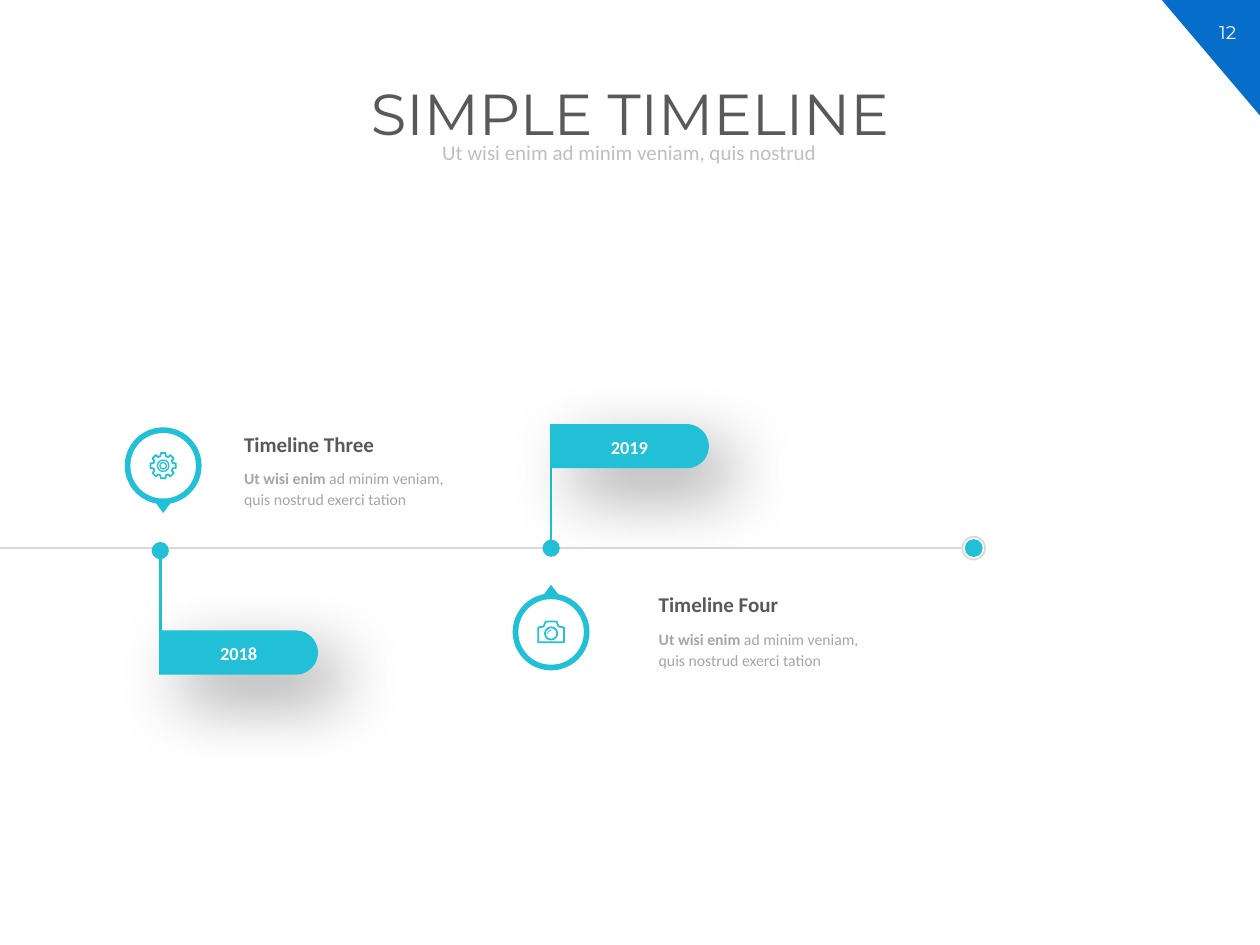
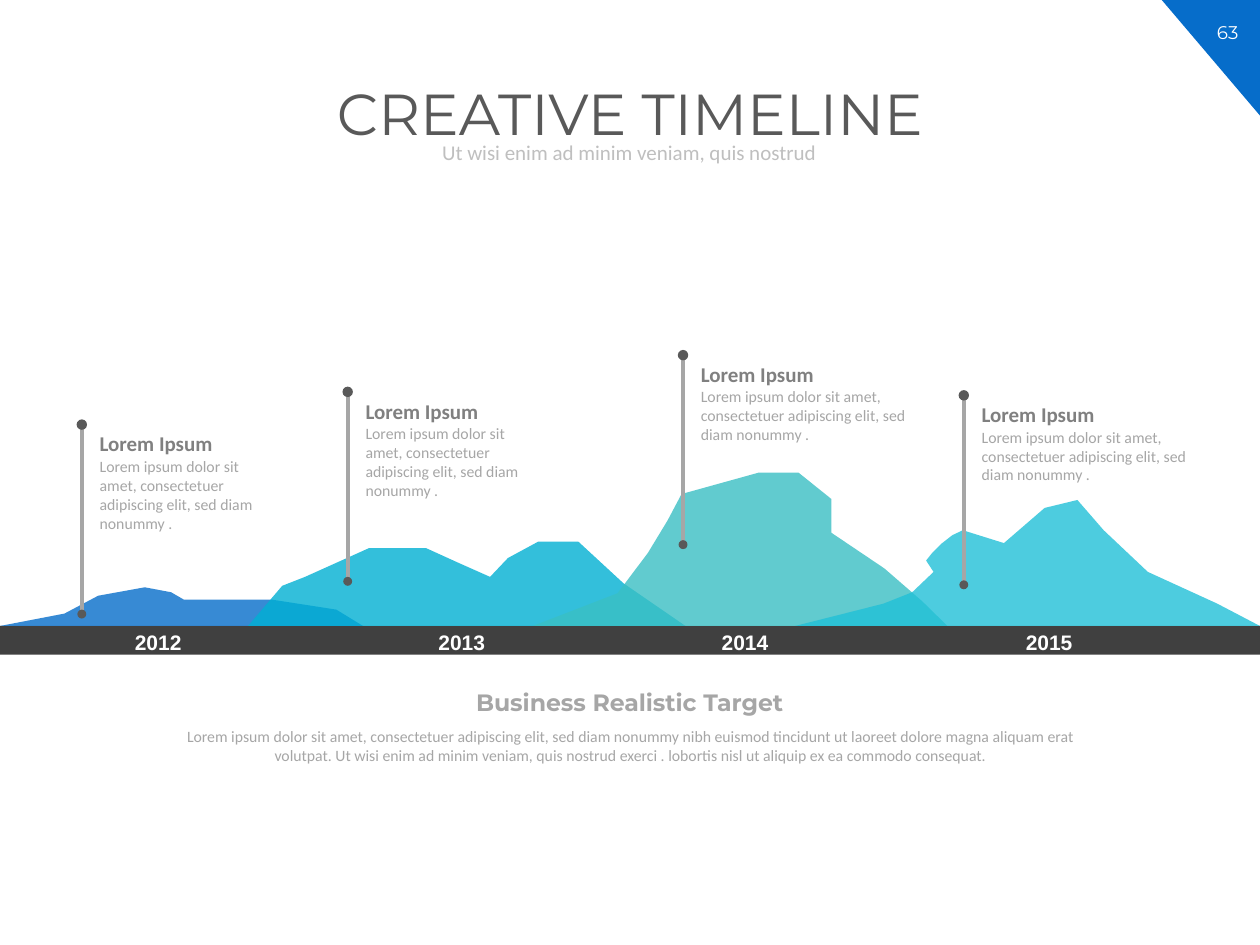
import dataclasses
import math
import typing

import lxml.etree
import pptx
import pptx.dml.color
import pptx.enum.shapes
import pptx.enum.text
import pptx.oxml.ns
import pptx.util

Cm = pptx.util.Cm
Pt = pptx.util.Pt
qn = pptx.oxml.ns.qn
SHAPE = pptx.enum.shapes.MSO_SHAPE
CENTER = pptx.enum.text.PP_ALIGN.CENTER
LEFT = pptx.enum.text.PP_ALIGN.LEFT
ANCHOR = pptx.enum.text.MSO_ANCHOR
Point = tuple[float, float]

# Shared look; every plain number for a place or size is in centimetres
COLORS = {
    "blue": "066DCA", "cyan": "00B0D3", "green": "3ABFC4", "teal": "21C0D7",
    "white": "FFFFFF", "band": "404040", "dark": "595959", "mid": "808080",
    "gray": "A6A6A6", "pale": "BFBFBF", "rule": "D9D9D9",
}
SLIDE_WIDTH, SLIDE_HEIGHT = 25.4, 19.05
SUBTITLE = "Ut wisi enim ad minim veniam, quis nostrud"
LOREM = "Lorem ipsum dolor sit amet, consectetuer adipiscing elit, sed diam nonummy"


@dataclasses.dataclass(frozen=True)
class TextStyle:
    name: str
    size: float
    color: str
    bold: bool = False
    alignment: typing.Any = LEFT
    line_spacing: float = 1.0


STYLES = {
    "title": TextStyle("Montserrat", 33, "dark", False, CENTER, 0.9),
    "subtitle": TextStyle("Calibri", 12, "pale", False, CENTER, 0.9),
    "number": TextStyle("Montserrat", 10.5, "white", False, CENTER),
    "flag": TextStyle("Calibri", 10.5, "white", True, CENTER),
    "event": TextStyle("Calibri", 12, "dark", True),
    "event detail": TextStyle("Calibri", 9, "gray", False, LEFT, 1.14),
    "year": TextStyle("Arial", 12, "white", True, CENTER),
    "milestone": TextStyle("Calibri", 12, "mid", True),
    "detail": TextStyle("Calibri", 9, "gray"),
    "target": TextStyle("Montserrat", 13.5, "gray", True, CENTER),
    "target detail": TextStyle("Calibri", 9, "gray", False, CENTER),
}


class Box(typing.NamedTuple):
    left: float
    top: float
    width: float
    height: float


class Flag(typing.NamedTuple):
    year: str
    left: float
    top: float
    pole_start: float
    pole_end: float


class Event(typing.NamedTuple):
    heading: str
    left: float
    top: float
    pin_x: float
    pin_y: float
    points_down: bool
    draw_icon: typing.Callable


class Mountain(typing.NamedTuple):
    color: str
    start: float
    end: float
    ridge: list[Point]


class Milestone(typing.NamedTuple):
    x: float
    top: float
    text_width: float
    text_height: float


# Helpers
def rgb(color: str) -> pptx.dml.color.RGBColor:
    return pptx.dml.color.RGBColor.from_string(COLORS[color])


def centered(x: float, y: float, width: float, height: float) -> Box:
    return Box(x - width / 2, y - height / 2, width, height)


def paint(shape, fill: str | None, line: str | None = None, weight: float = 1) -> None:
    if fill:
        shape.fill.solid()
        shape.fill.fore_color.rgb = rgb(fill)
    else:
        shape.fill.background()
    if line:
        shape.line.color.rgb = rgb(line)
        shape.line.width = Pt(weight)
    else:
        shape.line.fill.background()
    shape.shadow.inherit = False


def add_shape(slide, kind, box: Box, fill: str | None, line: str | None = None,
              weight: float = 1, rotation: float = 0):
    shape = slide.shapes.add_shape(kind, *map(Cm, box))
    shape.rotation = rotation
    paint(shape, fill, line, weight)
    return shape


def add_outline(slide, points: list[Point], fill: str | None, line: str | None = None,
                weight: float = 1):
    corners = [(Cm(x), Cm(y)) for x, y in points]
    builder = slide.shapes.build_freeform(*corners[0], scale=1.0)
    builder.add_line_segments(corners[1:], close=True)
    shape = builder.convert_to_shape()
    paint(shape, fill, line, weight)
    return shape


def add_line(slide, start: Point, end: Point, color: str, weight: float,
             dot: bool = False) -> None:
    line = slide.shapes.add_connector(pptx.enum.shapes.MSO_CONNECTOR.STRAIGHT,
                                      *map(Cm, (*start, *end)))
    line.line.color.rgb = rgb(color)
    line.line.width = Pt(weight)
    properties = line.element.spPr
    if dot:
        lxml.etree.SubElement(properties.find(qn("a:ln")), qn("a:tailEnd"),
                              type="oval", w="lg", len="lg")
    lxml.etree.SubElement(properties, qn("a:effectLst"))


def write(shape, style_name: str, text: str, bold_lead: str = "",
          anchor=ANCHOR.TOP, wrap: bool = True) -> None:
    style = STYLES[style_name]
    frame = shape.text_frame
    frame_format = {"word_wrap": wrap, "vertical_anchor": anchor,
                    "auto_size": pptx.enum.text.MSO_AUTO_SIZE.NONE}
    for key, value in frame_format.items():
        setattr(frame, key, value)
    paragraph = frame.paragraphs[0]
    paragraph_format = {"alignment": style.alignment, "space_before": Pt(0),
                        "line_spacing": style.line_spacing}
    for key, value in paragraph_format.items():
        setattr(paragraph, key, value)
    parts = [(bold_lead, True), (text, style.bold)]
    for content, bold in parts:
        if not content:
            continue
        run = paragraph.add_run()
        run.text = content
        for key, value in {"name": style.name, "size": Pt(style.size), "bold": bold}.items():
            setattr(run.font, key, value)
        run.font.color.rgb = rgb(style.color)


def add_text(slide, box: Box, style_name: str, text: str, bold_lead: str = "",
             wrap: bool = True) -> None:
    shape = slide.shapes.add_textbox(*map(Cm, box))
    write(shape, style_name, text, bold_lead, wrap=wrap)


def place(shape, box: Box) -> None:
    for key, value in box._asdict().items():
        setattr(shape, key, Cm(value))


def add_base_slide(presentation, title: str, number: str):
    """Add a slide with its title, subtitle and numbered corner."""
    slide = presentation.slides.add_slide(presentation.slide_layouts[2])
    place(slide.shapes.title, Box(1.45, 1.6, 22.5, 1.85))
    write(slide.shapes.title, "title", title)
    place(slide.placeholders[1], Box(3.53, 2.77, 18.31, 0.66))
    write(slide.placeholders[1], "subtitle", SUBTITLE, anchor=ANCHOR.MIDDLE)
    add_shape(slide, SHAPE.RIGHT_TRIANGLE, Box(23.42, 0, 1.98, 2.33), "blue", rotation=180)
    add_text(slide, Box(24.1, 0.3, 1.3, 0.71), "number", number)
    return slide


# Simple timeline
def draw_gear(slide, x: float, y: float) -> None:
    points = []
    for tooth in range(8):
        for degrees, radius in ((-15, 0.2), (-11, 0.26), (11, 0.26), (15, 0.2)):
            angle = math.radians(tooth * 45 + degrees)
            points.append((x + radius * math.cos(angle), y + radius * math.sin(angle)))
    add_outline(slide, points, None, "teal")
    for diameter in (0.23, 0.13):
        add_shape(slide, SHAPE.OVAL, centered(x, y, diameter, diameter), None, "teal", 0.75)


def draw_camera(slide, x: float, y: float) -> None:
    right_half = [(0.11, -0.21), (0.15, -0.11), (0.26, -0.09), (0.26, 0.21)]
    left_half = [(-dx, dy) for dx, dy in reversed(right_half)]
    add_outline(slide, [(x + dx, y + dy) for dx, dy in right_half + left_half], None, "teal")
    add_shape(slide, SHAPE.OVAL, centered(x, y + 0.03, 0.25, 0.25), None, "teal")
    add_shape(slide, SHAPE.ARC, centered(x, y + 0.03, 0.14, 0.14), None, "teal", 0.5, 270)


FLAGS = [Flag("2019", 11.09, 8.55, 8.56, 11.05), Flag("2018", 3.21, 12.71, 13.59, 11.1)]
EVENTS = [
    Event("Timeline Four", 13.03, 11.81, 11.11, 12.74, False, draw_camera),
    Event("Timeline Three", 4.67, 8.57, 3.29, 9.39, True, draw_gear),
]


def add_flag(slide, flag: Flag) -> None:
    length, height = 3.2, 0.89
    pole_x = flag.left + 0.02
    add_line(slide, (pole_x, flag.pole_start), (pole_x, flag.pole_end), "teal", 1.5, dot=True)
    box = centered(flag.left + length / 2, flag.top + height / 2, height, length)
    shape = add_shape(slide, SHAPE.ROUND_2_SAME_RECTANGLE, box, "teal", rotation=90)
    shape.adjustments[0], shape.adjustments[1] = 0.5, 0
    # Soft shadow to the lower right
    effects = shape.element.spPr.find(qn("a:effectLst"))
    shadow = lxml.etree.SubElement(
        effects, qn("a:outerShdw"), blurRad=str(Pt(40)), dist=str(Pt(20)),
        dir=str(45 * 60000), algn="ctr", rotWithShape="0")
    color = lxml.etree.SubElement(shadow, qn("a:srgbClr"), val="000000")
    lxml.etree.SubElement(color, qn("a:alpha"), val="40000")
    add_text(slide, Box(flag.left + 0.43, flag.top + 0.11, 2.34, 0.71), "flag", flag.year)


def add_event(slide, event: Event) -> None:
    add_text(slide, Box(event.left, event.top, 3.1, 0.76), "event", event.heading, wrap=False)
    add_text(slide, Box(event.left, event.top + 0.7, 5.05, 1.19), "event detail",
             "ad minim veniam, quis nostrud exerci tation", "Ut wisi enim ")
    x, y = event.pin_x, event.pin_y
    add_shape(slide, SHAPE.OVAL, centered(x, y, 1.55, 1.55), "teal")
    pointer_y = y + (0.85 if event.points_down else -0.85)
    add_shape(slide, SHAPE.ISOSCELES_TRIANGLE, centered(x, pointer_y, 0.3, 0.2), "teal",
              rotation=180 if event.points_down else 0)
    add_shape(slide, SHAPE.OVAL, centered(x, y, 1.32, 1.32), "white")
    event.draw_icon(slide, x, y)


def build_simple_timeline(presentation) -> None:
    slide = add_base_slide(presentation, "SIMPLE TIMELINE", "12")
    axis_y, end_x = 11.05, 19.63
    add_line(slide, (19.41, axis_y), (0, axis_y), "rule", 1)
    for flag in FLAGS:
        add_flag(slide, flag)
    for event in EVENTS:
        add_event(slide, event)
    add_shape(slide, SHAPE.OVAL, centered(end_x, axis_y, 0.36, 0.36), "teal")
    add_shape(slide, SHAPE.OVAL, centered(end_x, axis_y, 0.46, 0.46), None, "rule")


# Creative timeline
GROUND = 12.62
MOUNTAINS = [
    Mountain("blue", 0, 7.32, [
        (1.3, 12.37), (1.98, 12.01), (2.92, 11.84), (3.45, 11.94), (3.71, 12.09),
        (5.49, 12.09), (6.78, 12.29)]),
    Mountain("cyan", 5, 13.82, [
        (5.69, 11.81), (6.15, 11.63), (7.44, 11.05), (8.59, 11.05), (9.25, 11.35),
        (9.88, 11.63), (10.24, 11.25), (10.85, 10.92), (11.66, 10.92), (12.57, 11.76)]),
    Mountain("green", 10.74, 19.1, [
        (12.45, 11.96), (13.06, 11.15), (13.46, 10.49), (13.74, 9.96), (15.29, 9.53),
        (16.1, 9.53), (16.76, 10.06), (16.76, 10.74), (17.83, 11.46), (18.59, 12.12)]),
    Mountain("teal", 16.03, 25.4, [
        (17.81, 12.17), (18.39, 11.94), (18.82, 11.53), (18.67, 11.3), (18.79, 11.15),
        (18.98, 10.96), (19.2, 10.79), (19.41, 10.69), (20.24, 10.95), (21.06, 10.24),
        (21.72, 10.08), (22.25, 10.69), (23.14, 11.53), (24.54, 12.17)]),
]
YEARS = {"2012": 2.06, "2013": 8.18, "2014": 13.89, "2015": 20.02}
MILESTONES = [
    Milestone(1.65, 8.46, 3.86, 1.8), Milestone(7.01, 7.8, 3.86, 1.8),
    Milestone(13.77, 7.06, 4.85, 1.42), Milestone(19.43, 7.87, 4.85, 1.42),
]


def add_mountain(slide, mountain: Mountain) -> None:
    points = [(mountain.start, GROUND), *mountain.ridge, (mountain.end, GROUND)]
    shape = add_outline(slide, points, mountain.color)
    color = shape.element.spPr.find(qn("a:solidFill")).find(qn("a:srgbClr"))
    lxml.etree.SubElement(color, qn("a:alpha"), val="80000")


def add_milestone(slide, milestone: Milestone) -> None:
    x, top, width, height = milestone
    text_left = x + 0.11
    add_text(slide, Box(text_left, top + 0.1, 3.25, 0.76), "milestone", "Lorem Ipsum")
    add_line(slide, (x, top + 3.91), (x, top + 0.13), "gray", 2.25)
    for dot_y, diameter in ((top + 0.1, 0.21), (top + 3.92, 0.18)):
        add_shape(slide, SHAPE.OVAL, centered(x, dot_y, diameter, diameter), "dark")
    add_text(slide, Box(text_left, top + 0.62, width, height), "detail", LOREM + " .")


def build_creative_timeline(presentation) -> None:
    slide = add_base_slide(presentation, "CREATIVE TIMELINE", "63")
    add_shape(slide, SHAPE.RECTANGLE, Box(0, GROUND, SLIDE_WIDTH, 0.58), "band")
    for mountain in MOUNTAINS:
        add_mountain(slide, mountain)
    add_text(slide, Box(3.2, 14.53, 19, 1.02), "target detail",
             LOREM + " nibh euismod tincidunt ut laoreet dolore magna aliquam erat volutpat. "
             "Ut wisi enim ad minim veniam, quis nostrud exerci . "
             "lobortis nisl ut aliquip ex ea commodo consequat.")
    add_text(slide, Box(9.09, 13.74, 7.21, 0.84), "target", "Business Realistic Target")
    for year, left in YEARS.items():
        add_text(slide, Box(left, 12.57, 2.26, 0.76), "year", year)
    for milestone in MILESTONES:
        add_milestone(slide, milestone)


def main() -> None:
    presentation = pptx.Presentation()
    presentation.slide_width = Cm(SLIDE_WIDTH)
    presentation.slide_height = Cm(SLIDE_HEIGHT)
    build_simple_timeline(presentation)
    build_creative_timeline(presentation)
    presentation.save("out.pptx")


if __name__ == "__main__":
    main()
